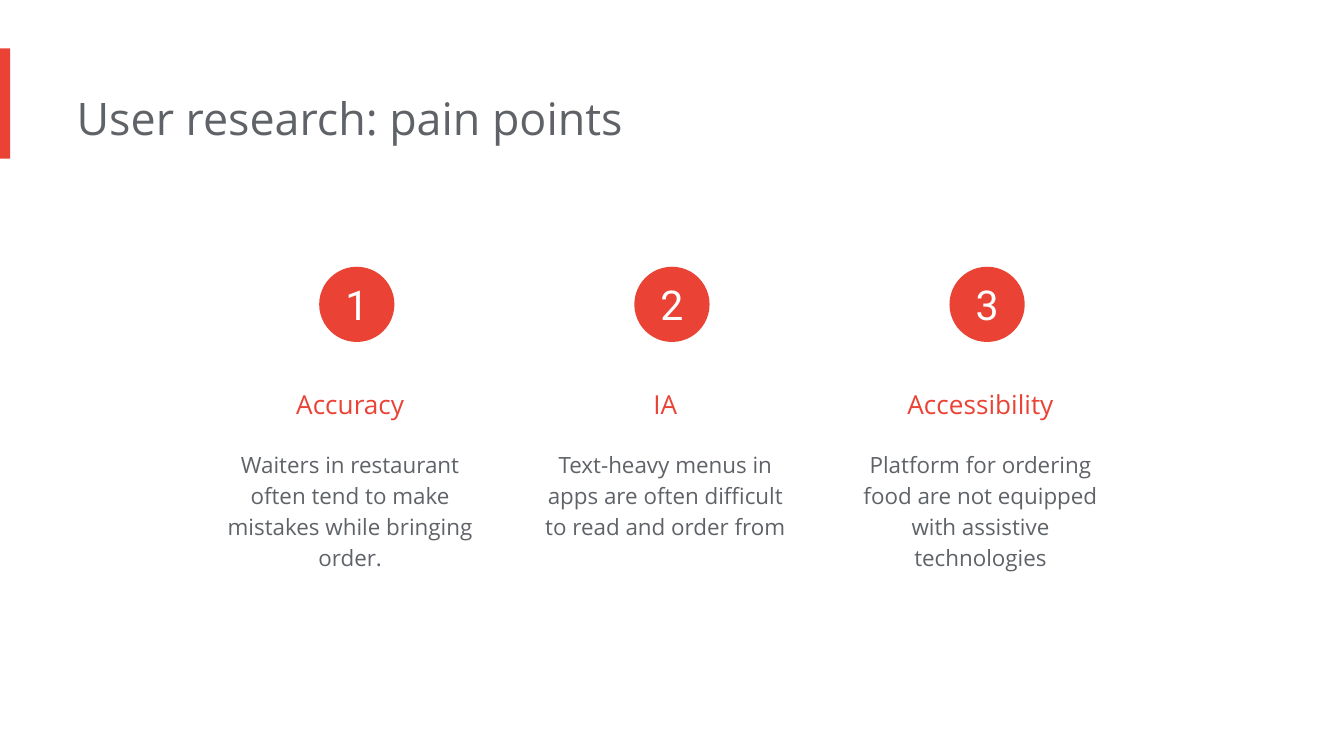
from dataclasses import dataclass

from pptx import Presentation
from pptx.dml.color import RGBColor as Rgb
from pptx.enum.shapes import MSO_SHAPE as Kind
from pptx.enum.text import MSO_ANCHOR as Anchor, MSO_AUTO_SIZE as Fit, PP_ALIGN as Align
from pptx.util import Emu, Pt

PX = 4572  # EMU in one px, 200 px to the inch


@dataclass(frozen=True)
class Theme:
    red: str = "EA4335"
    grey: str = "5F6368"
    white: str = "FFFFFF"
    font: str = "Open Sans"
    digit: str = "Roboto"
    title: int = 24
    num: int = 22
    head: int = 14
    body: int = 12


@dataclass(frozen=True)
class Box:
    left: int
    top: int
    width: int
    height: int

    def emu(self) -> list[Emu]:
        return [Emu(n * PX) for n in (self.left, self.top, self.width, self.height)]


@dataclass(frozen=True)
class Point:
    head: str
    body: str
    height: int


THEME = Theme()
POINTS = [
    Point("Accuracy", "Waiters in restaurant often tend to make mistakes while bringing order.", 226),
    Point("IA", "Text-heavy menus in apps are often difficult to read and order from", 180),
    Point("Accessibility", "Platform for ordering food are not equipped with assistive technologies", 226),
]
LEFT, PITCH, WIDTH = 326, 469, 410
DISC, DISC_LEFT = 112, 475


def write(shape, text: str, *, size: int, color: str, font: str = THEME.font,
          align: Align = Align.CENTER, anchor: Anchor = Anchor.TOP,
          line: float = 1.0, pad: int = 20, fit: Fit = Fit.SHAPE_TO_FIT_TEXT) -> None:
    """Fill a shape with one paragraph; pad is the inset on all sides but the left."""
    frame = shape.text_frame
    frame.word_wrap = True
    frame.auto_size = fit
    frame.vertical_anchor = anchor
    frame.margin_left = 0
    frame.margin_top = frame.margin_right = frame.margin_bottom = Emu(pad * PX)
    para = frame.paragraphs[0]
    para.alignment = align
    para.line_spacing = line
    para.space_before = Pt(0)
    run = para.add_run()
    run.text = text
    run.font.size = Pt(size)
    run.font.name = font
    run.font.color.rgb = Rgb.from_string(color)


def block(slide, kind: Kind, box: Box):
    """Add a plain red shape."""
    shape = slide.shapes.add_shape(kind, *box.emu())
    shape.shadow.inherit = False
    shape.fill.solid()
    shape.fill.fore_color.rgb = Rgb.from_string(THEME.red)
    shape.line.fill.background()
    return shape


def label(slide, box: Box, text: str, **style) -> None:
    write(slide.shapes.add_textbox(*box.emu()), text, **style)


def title(slide, text: str) -> None:
    shape = slide.shapes.title
    shape.left, shape.top, shape.width, shape.height = Box(114, 115, 1346, 122).emu()
    write(shape, text, size=THEME.title, color=THEME.grey, align=Align.LEFT)


def column(slide, index: int, point: Point) -> None:
    shift = index * PITCH
    left = LEFT + shift
    label(slide, Box(left, 535, WIDTH, 112), point.head,
          size=THEME.head, color=THEME.red, line=1.5)
    label(slide, Box(left, 646, WIDTH, point.height), point.body,
          size=THEME.body, color=THEME.grey, line=1.15)
    disc = block(slide, Kind.OVAL, Box(DISC_LEFT + shift, 397, DISC, DISC))
    write(disc, str(index + 1), size=THEME.num, color=THEME.white, font=THEME.digit,
          anchor=Anchor.MIDDLE, pad=0, fit=Fit.NONE)


def main() -> None:
    deck = Presentation()
    deck.slide_width, deck.slide_height = Emu(2000 * PX), Emu(1125 * PX)
    slide = deck.slides.add_slide(deck.slide_layouts.get_by_name("Title Only"))
    block(slide, Kind.RECTANGLE, Box(0, 72, 15, 164))
    title(slide, "User research: pain points")
    for index, point in enumerate(POINTS):
        column(slide, index, point)
    deck.save("out.pptx")


if __name__ == "__main__":
    main()
